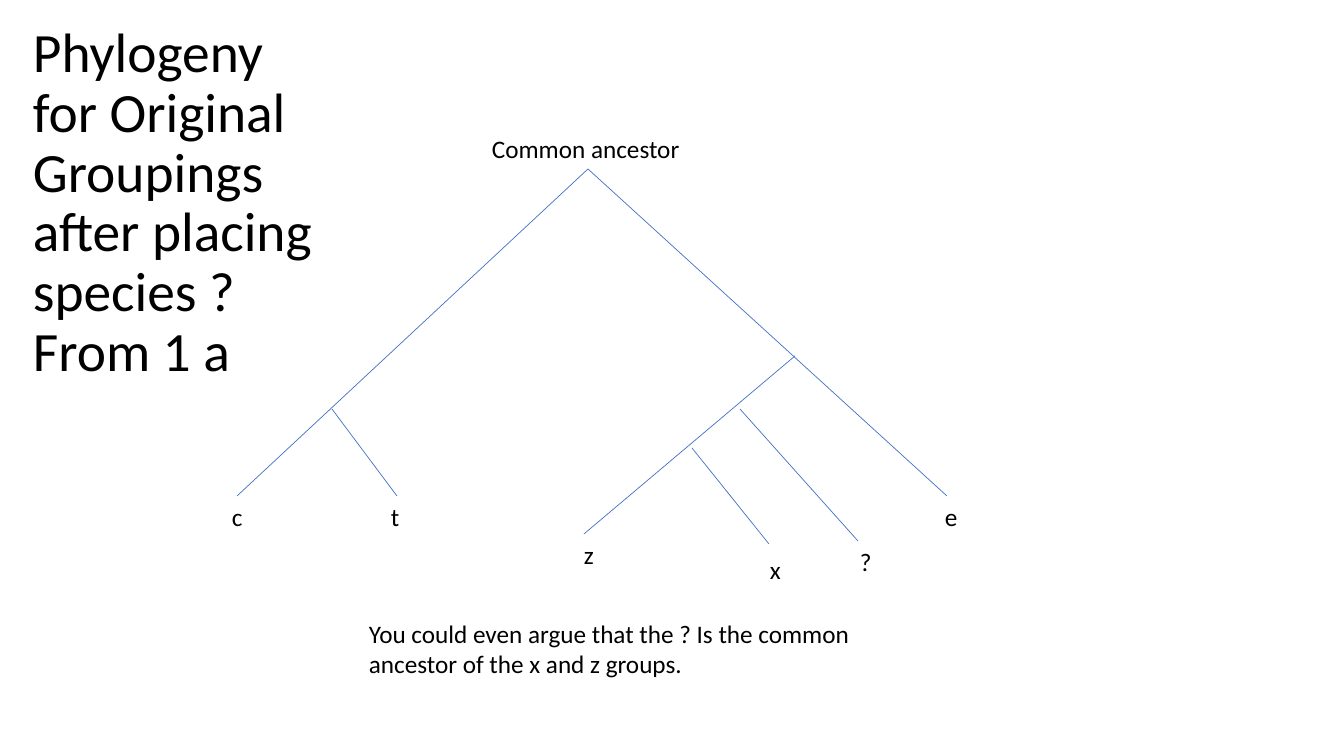
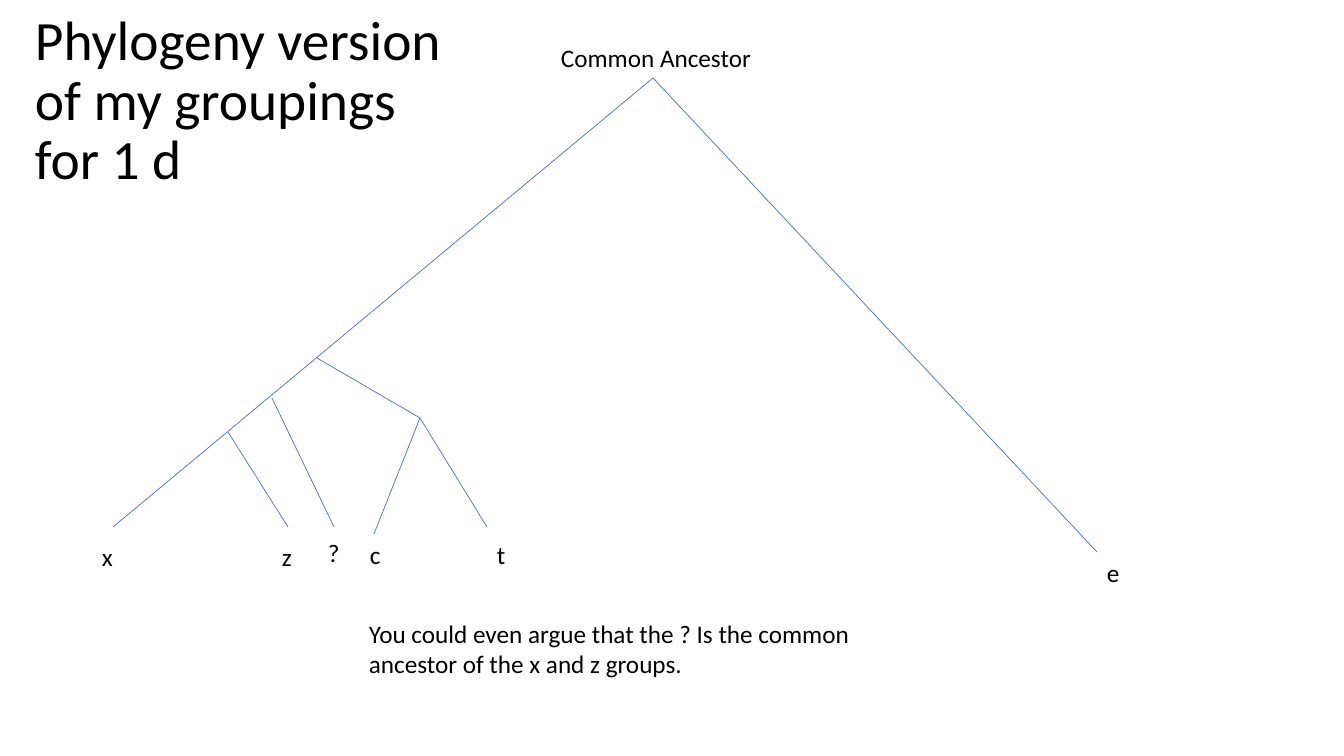
from dataclasses import dataclass
from typing import NamedTuple

from lxml import etree
from pptx import Presentation
from pptx.dml.color import RGBColor
from pptx.enum.shapes import MSO_CONNECTOR
from pptx.enum.text import MSO_ANCHOR, MSO_AUTO_SIZE
from pptx.oxml.ns import qn
from pptx.util import Emu, Pt

STRAIGHT = MSO_CONNECTOR.STRAIGHT
TOP, MIDDLE = MSO_ANCHOR.TOP, MSO_ANCHOR.MIDDLE
GROW, FIXED = MSO_AUTO_SIZE.SHAPE_TO_FIT_TEXT, MSO_AUTO_SIZE.NONE
EMU_PER_PIXEL = 914400 / 100.8
BLANK_LAYOUT = 6
LABEL_HEIGHT = 41


@dataclass(frozen=True)
class Theme:
    """Colours, font and sizes shared by the slides."""
    ink: RGBColor = RGBColor(0, 0, 0)
    branch: RGBColor = RGBColor(0x44, 0x72, 0xC4)
    paper: RGBColor = RGBColor(255, 255, 255)
    font: str = "Calibri"
    title_size: float = 39.6
    body_size: float = 18
    branch_width: float = 0.5
    title_spacing: float = 0.9


class Box(NamedTuple):
    """A region in pixels."""
    left: int
    top: int
    width: int
    height: int


class Branch(NamedTuple):
    """A line between offsets from the apex, with the species at its tip."""
    start: tuple
    tip: tuple
    species: str = ""
    label_shift: tuple = (0, 0)
    label_width: int = 37


THEME = Theme()
APEX = (0, 0)
NOTE_BOX = Box(359, 613, 590, 72)
NOTE = "You could even argue that the ? Is the common ancestor of the x and z groups."


def px(pixels):
    """Turn pixels into EMU."""
    return Emu(round(pixels * EMU_PER_PIXEL))


def shifted(point, offset):
    """Move a point by an offset."""
    return point[0] + offset[0], point[1] + offset[1]


def add_text(slide, box, text, size=THEME.body_size, anchor=TOP, fit=GROW, spacing=1.0):
    """Place one wrapped paragraph in the box."""
    frame = slide.shapes.add_textbox(*map(px, box)).text_frame
    frame.word_wrap = True
    frame.auto_size = fit
    frame.vertical_anchor = anchor
    paragraph = frame.paragraphs[0]
    paragraph.line_spacing = spacing
    run = paragraph.add_run()
    run.text = text
    run.font.size = Pt(size)
    run.font.name = THEME.font
    run.font.color.rgb = THEME.ink


def add_branch(slide, start, tip):
    """Draw one thin branch line."""
    line = slide.shapes.add_connector(STRAIGHT, *map(px, (*start, *tip)))
    line.line.color.rgb = THEME.branch
    line.line.width = Pt(THEME.branch_width)
    etree.SubElement(line._element.spPr, qn("a:effectLst"))


def add_tree(slide, box, apex_x, ancestor, ancestor_box, branches):
    """Draw the ancestor, the branches and the species inside the box."""
    apex = (box.left + apex_x, box.top + LABEL_HEIGHT)
    shift, width = ancestor_box
    add_text(slide, Box(apex[0] + shift, box.top, width, LABEL_HEIGHT), ancestor)
    for branch in branches:
        tip = shifted(apex, branch.tip)
        add_branch(slide, shifted(apex, branch.start), tip)
        if branch.species:
            corner = shifted(tip, branch.label_shift)
            add_text(slide, Box(*corner, branch.label_width, LABEL_HEIGHT), branch.species)


def add_phylogeny_slide(deck, title, title_box, **tree):
    """Add a slide with a title, a tree and the shared note."""
    slide = deck.slides.add_slide(deck.slide_layouts[BLANK_LAYOUT])
    slide.background.fill.solid()
    slide.background.fill.fore_color.rgb = THEME.paper
    add_tree(slide, **tree)
    add_text(slide, title_box, title, size=THEME.title_size, anchor=MIDDLE,
             fit=FIXED, spacing=THEME.title_spacing)
    add_text(slide, NOTE_BOX, NOTE)


def main():
    """Build and save the deck."""
    deck = Presentation()
    deck.slide_width, deck.slide_height = px(1344), px(756)
    add_phylogeny_slide(
        deck,
        "Phylogeny for Original Groupings after placing species ? From 1 a",
        Box(23, 131, 304, 146),
        box=Box(222, 128, 745, 461),
        apex_x=366,
        ancestor="Common ancestor",
        ancestor_box=(-106, 211),
        branches=[
            Branch(APEX, (-351, 327), "c", (-15, 0)),
            Branch((-256, 240), (-191, 327), "t", (-16, 0)),
            Branch(APEX, (359, 327), "e", (-12, 0)),
            Branch((207, 187), (-4, 365), "z", (-10, 0)),
            Branch((104, 279), (181, 375), "x", (-9, 5)),
            Branch((152, 240), (270, 372), "?", (-8, 0)),
        ],
    )
    fork = (-233, 340)
    add_phylogeny_slide(
        deck,
        "Phylogeny version of my groupings for 1 d",
        Box(25, 29, 443, 146),
        box=Box(92, 37, 1042, 555),
        apex_x=561,
        ancestor="Common Ancestor",
        ancestor_box=(-102, 216),
        branches=[
            Branch(APEX, (-540, 449), "x", (-21, 9)),
            Branch((-425, 354), (-365, 449), "z", (-16, 9)),
            Branch((-381, 320), (-319, 449), "?", (-16, 5)),
            Branch((-336, 280), fork),
            Branch(fork, (-279, 456), "c", (-14, 0)),
            Branch(fork, (-166, 449), "t", (0, 7)),
            Branch(APEX, (444, 474), "e"),
        ],
    )
    deck.save("out.pptx")


main()
